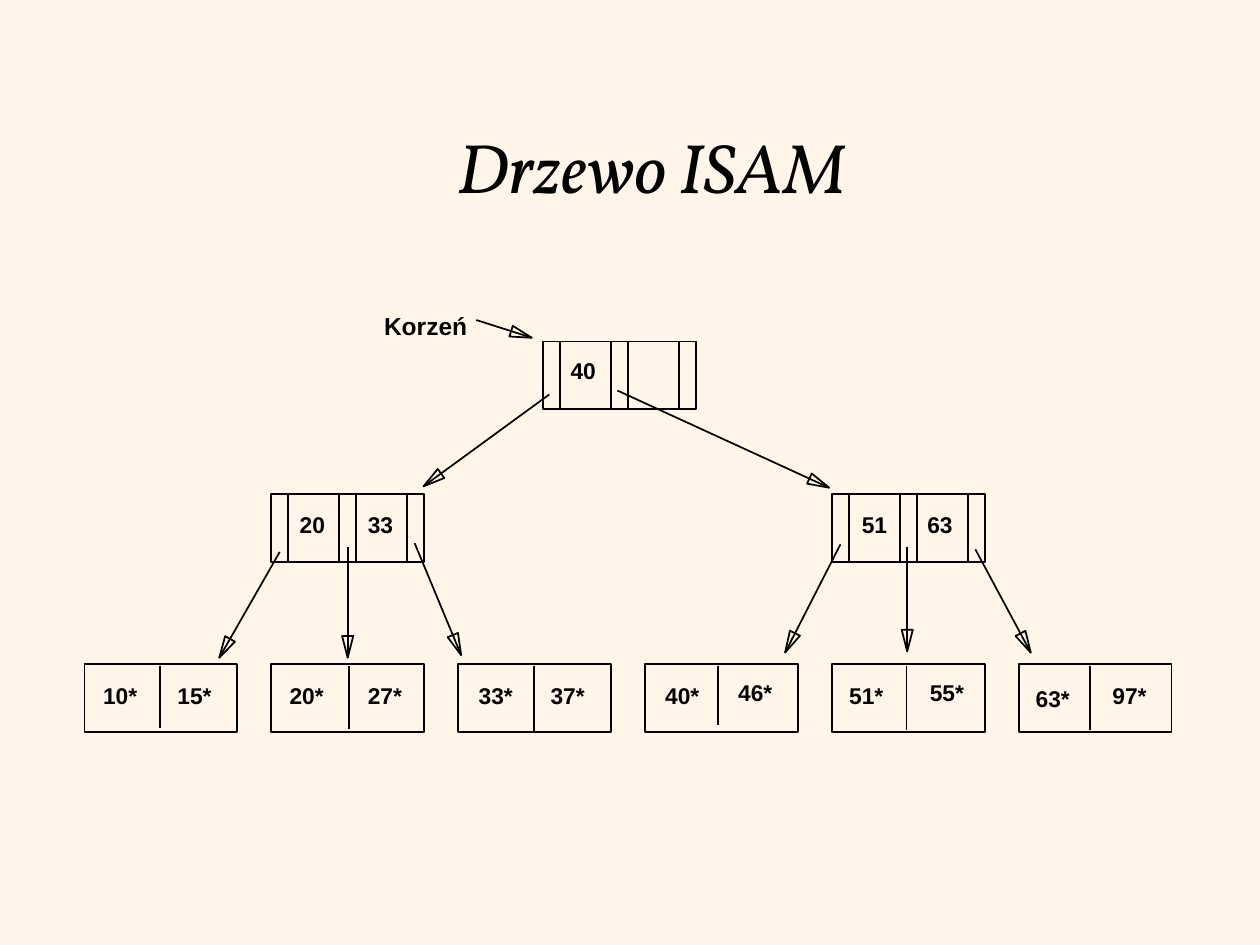
from dataclasses import dataclass
from math import hypot

from lxml.etree import SubElement
from pptx import Presentation
from pptx.dml.color import RGBColor as Color
from pptx.enum.shapes import MSO_CONNECTOR as Connector, MSO_SHAPE as Shape
from pptx.enum.text import MSO_ANCHOR as Anchor, MSO_AUTO_SIZE as AutoSize, PP_ALIGN as Align
from pptx.oxml.ns import qn
from pptx.util import Inches, Pt


@dataclass(frozen=True)
class Theme:
    paper: Color = Color.from_string("FFF6E9")
    ink: Color = Color.from_string("000000")
    title_font: str = "Vollkorn"
    body_font: str = "Arial"
    title_size: int = 40
    label_size: int = 14
    key_size: int = 13
    line_width: int = 1


UNIT = 1.483 / 11
LEFT, TOP = 0.67, 2.71
NODE_WIDTH, NODE_HEIGHT = 9, 4
INNER_DIVIDERS = (1, 4, 5, 8)
HEAD_LENGTH, HEAD_HALF = 1.28, 0.33
MIDDLE_ROW, LEAF_ROW, LEAF_STEP = 9, 19, 11

INNER_NODES = [
    (27, 0, [("40", 0.89, 0.52)]),
    (11, MIDDLE_ROW, [("20", 0.94, 0.59), ("33", 4.95, 0.59)]),
    (44, MIDDLE_ROW, [("51", 1.03, 0.59), ("63", 4.89, 0.59)]),
]
LEAVES = [
    (4.45, 3.65, [("10*", 0.37, 0.67), ("15*", 4.75, 0.67)]),
    (4.58, 3.75, [("20*", 0.35, 0.67), ("27*", 4.95, 0.67)]),
    (4.48, 3.85, [("33*", 0.48, 0.67), ("37*", 4.71, 0.67)]),
    (4.31, 3.5, [("40*", 0.46, 0.67), ("46*", 4.76, 0.52)]),
    (4.4, 3.78, [("51*", 0.29, 0.67), ("55*", 5.04, 0.52)]),
    (4.2, 3.78, [("63*", 0.27, 0.82), ("97*", 4.79, 0.67)]),
]
ARROWS = [
    ((23.07, -1.26), (26.34, -0.22)),
    ((27.37, 3.12), (19.96, 8.53)),
    ((31.38, 2.89), (43.84, 8.61)),
    ((11.5, 12.39), (7.94, 18.62)),
    ((15.5, 12.09), (15.5, 18.62)),
    ((19.44, 11.87), (22.18, 18.47)),
    ((44.51, 11.94), (41.25, 18.32)),
    ((48.44, 12.09), (48.44, 18.25)),
    ((52.45, 12.24), (55.71, 18.32)),
]


def size(units):
    return Inches(units * UNIT)


def point(column, row):
    return Inches(LEFT + column * UNIT), Inches(TOP + row * UNIT)


class TreeSlide:
    def __init__(self, deck, theme):
        self.theme = theme
        self.page = deck.slides.add_slide(deck.slide_layouts[5])
        self.shapes = self.page.shapes
        fill = self.page.background.fill
        fill.solid()
        fill.fore_color.rgb = theme.paper

    def add_span(self, para, text, font, points, bold=False, italic=False):
        span = para.add_run()
        span.text = text
        span.font.name = font
        span.font.size = Pt(points)
        span.font.bold = bold
        span.font.italic = italic
        span.font.color.rgb = self.theme.ink

    def stroke(self, shape):
        shape.line.color.rgb = self.theme.ink
        shape.line.width = Pt(self.theme.line_width)

    def outline(self, shape):
        shape.shadow.inherit = False
        shape.fill.background()
        self.stroke(shape)

    def title(self, text):
        box = self.shapes.title
        box.left, box.top = Inches(0.92), Inches(0.71)
        box.width, box.height = Inches(8.5), Inches(1.21)
        box.text_frame.vertical_anchor = Anchor.MIDDLE
        para = box.text_frame.paragraphs[0]
        para.alignment = Align.CENTER
        self.add_span(para, text, self.theme.title_font, self.theme.title_size, italic=True)

    def label(self, text, column, row, width, height, points):
        box = self.shapes.add_textbox(*point(column, row), size(width), size(height))
        frame = box.text_frame
        frame.word_wrap = False
        frame.auto_size = AutoSize.SHAPE_TO_FIT_TEXT
        self.add_span(frame.paragraphs[0], text, self.theme.body_font, points, bold=True)

    def line(self, start, end):
        line = self.shapes.add_connector(Connector.STRAIGHT, *point(*start), *point(*end))
        self.stroke(line)
        SubElement(line.element.spPr, qn("a:effectLst"))

    def arrow(self, start, end):
        self.line(start, end)
        across, down = end[0] - start[0], end[1] - start[1]
        length = hypot(across, down)
        across, down = across / length, down / length
        base = end[0] - HEAD_LENGTH * across, end[1] - HEAD_LENGTH * down
        corners = [
            point(base[0] + side * down, base[1] - side * across)
            for side in (HEAD_HALF, -HEAD_HALF)
        ]
        builder = self.shapes.build_freeform(*point(*end))
        builder.add_line_segments(corners, close=True)
        self.outline(builder.convert_to_shape())

    def node(self, column, row, dividers, keys):
        box = self.shapes.add_shape(
            Shape.RECTANGLE, *point(column, row), size(NODE_WIDTH), size(NODE_HEIGHT)
        )
        self.outline(box)
        for offset, top, bottom in dividers:
            self.line((column + offset, row + top), (column + offset, row + bottom))
        for text, across, down in keys:
            width = 3.5 if text.endswith("*") else 2.97
            self.label(text, column + across, row + down, width, 2.3, self.theme.key_size)


def main():
    deck = Presentation()
    deck.slide_width, deck.slide_height = Inches(10), Inches(7.5)
    theme = Theme()
    tree = TreeSlide(deck, theme)
    tree.title("Drzewo ISAM")
    for column, row, keys in INNER_NODES:
        tree.node(column, row, [(offset, 0, NODE_HEIGHT) for offset in INNER_DIVIDERS], keys)
    for index, (offset, length, keys) in enumerate(LEAVES):
        tree.node(index * LEAF_STEP, LEAF_ROW, [(offset, 0.08, 0.08 + length)], keys)
    for start, end in ARROWS:
        tree.arrow(start, end)
    tree.label("Korzeń", 16.91, -2.15, 6.75, 2.45, theme.label_size)
    deck.save("out.pptx")


if __name__ == "__main__":
    main()
